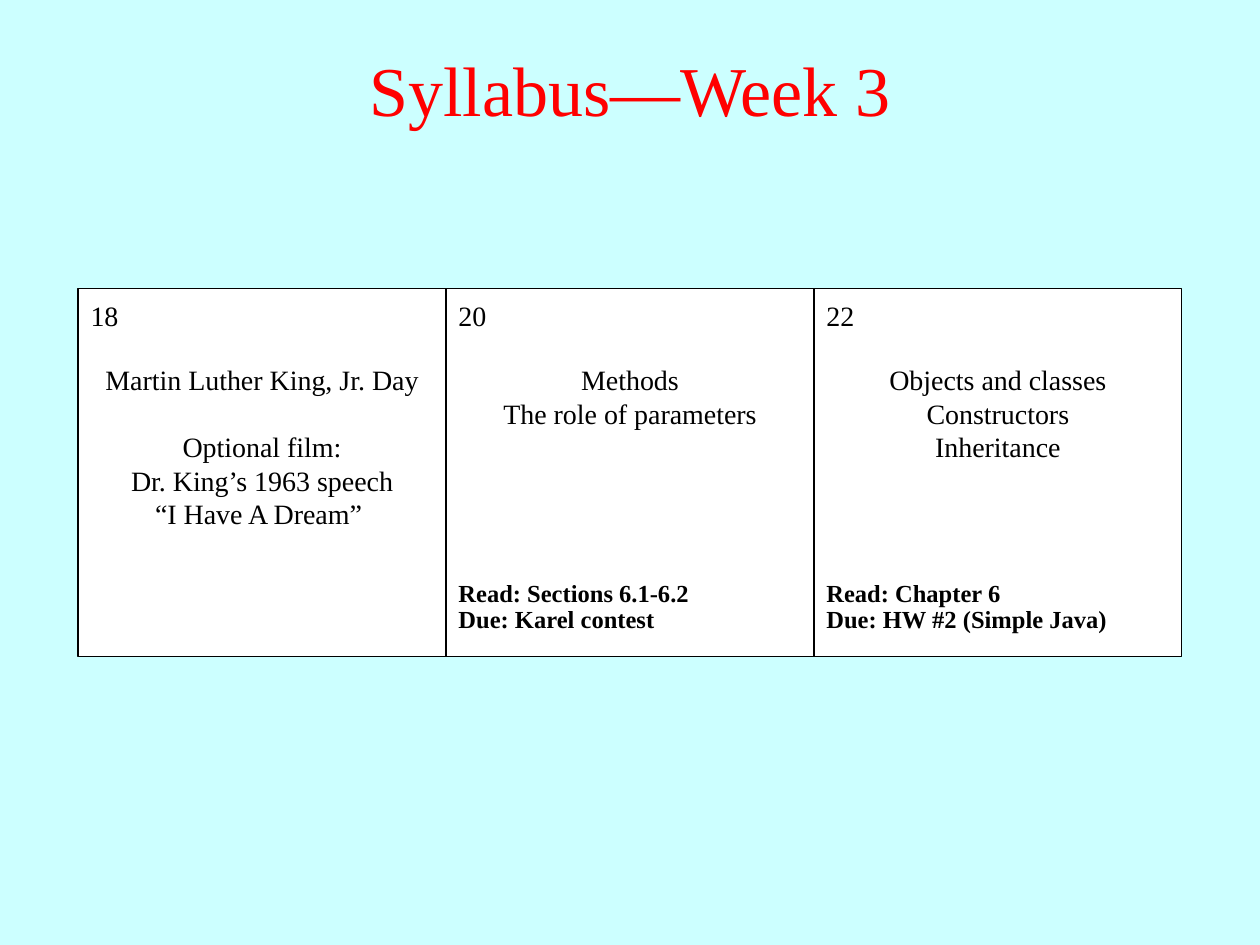
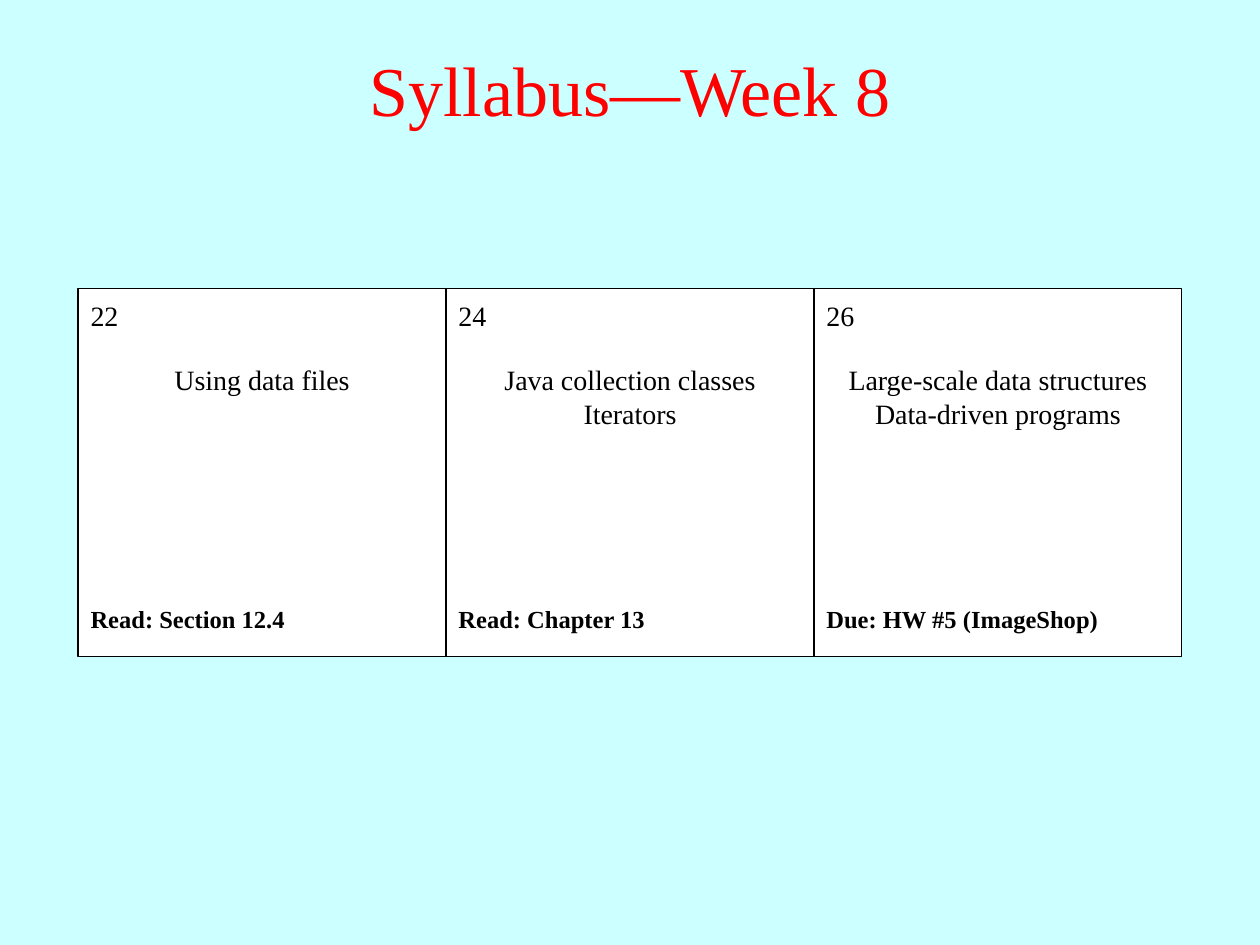
import pptx
import pptx.util
import pptx.dml.color
import pptx.enum.shapes
import pptx.enum.text

Inches, Pt = pptx.util.Inches, pptx.util.Pt
ALIGN = pptx.enum.text.PP_ALIGN
ANCHOR = pptx.enum.text.MSO_ANCHOR

COLORS = {"back": "CCFFFF", "title": "FF0000", "cell": "FFFFFF", "ink": "000000"}
FONT = "Times New Roman"
SIDE = 2.92                 # each day is a square
LEFT, TOP = 0.62, 2.29
GAP = 19                    # one empty line, in points

# Each day: date, blocks of topics, tasks
WEEKS = [
    (3, [
        ("18", [["Martin Luther King, Jr. Day"],
                ["Optional film:", "Dr. King’s 1963 speech", "“I Have A Dream” "]], []),
        ("20", [["Methods", "The role of parameters"]],
         ["Read: Sections 6.1-6.2", "Due: Karel contest"]),
        ("22", [["Objects and classes", "Constructors", "Inheritance"]],
         ["Read: Chapter 6", "Due: HW #2 (Simple Java)"]),
    ]),
    (8, [
        ("22", [["Using data files"]], ["Read: Section 12.4"]),
        ("24", [["Java collection classes", "Iterators"]], ["Read: Chapter 13"]),
        ("26", [["Large-scale data structures", "Data-driven programs"]],
         ["Due: HW #5 (ImageShop)"]),
    ]),
]


def color(name):
    return pptx.dml.color.RGBColor.from_string(COLORS[name])


def add_text(shapes, box, blocks, size, ink="ink", bold=False,
             align=ALIGN.LEFT, anchor=ANCHOR.TOP, lead=None):
    """Write blocks of lines, with one line's gap between blocks."""
    frame = shapes.add_textbox(*map(Inches, box)).text_frame
    frame.word_wrap = True
    frame.vertical_anchor = anchor
    first = True
    for block in blocks:
        for i, line in enumerate(block):
            para = frame.paragraphs[0] if first else frame.add_paragraph()
            para.alignment = align
            if lead:
                para.line_spacing = lead
            if i == 0 and not first:
                para.space_before = Pt(GAP)
            run = para.add_run()
            run.text = line
            run.font.name, run.font.size, run.font.bold = FONT, Pt(size), bold
            run.font.color.rgb = color(ink)
            first = False


def add_day(slide, x, y, date, topics, tasks):
    shapes = slide.shapes.add_group_shape().shapes
    # Square
    cell = shapes.add_shape(pptx.enum.shapes.MSO_SHAPE.RECTANGLE,
                            Inches(x), Inches(y), Inches(SIDE), Inches(SIDE))
    cell.shadow.inherit = False
    cell.fill.solid()
    cell.fill.fore_color.rgb = color("cell")
    cell.line.color.rgb = color("ink")
    cell.line.width = Pt(0.75)
    # Date, topics and tasks
    add_text(shapes, (x, y + 0.03, SIDE, 0.37), [[date]], 16)
    add_text(shapes, (x, y + 0.54, SIDE, 1.45), topics, 16, align=ALIGN.CENTER)
    if tasks:
        add_text(shapes, (x, y + 2.27, SIDE, 0.52), [tasks], 14, bold=True,
                 anchor=ANCHOR.BOTTOM, lead=0.9)


def add_week(deck, week, days):
    slide = deck.slides.add_slide(deck.slide_layouts[6])
    slide.background.fill.solid()
    slide.background.fill.fore_color.rgb = color("back")
    add_text(slide.shapes, (0, 0.08, 10, 1.25), [[f"Syllabus—Week {week}"]], 40,
             ink="title", align=ALIGN.CENTER, anchor=ANCHOR.MIDDLE)
    for i, day in enumerate(days):
        add_day(slide, LEFT + i * SIDE, TOP, *day)


def main():
    deck = pptx.Presentation()
    deck.slide_width, deck.slide_height = Inches(10), Inches(7.5)
    for week, days in WEEKS:
        add_week(deck, week, days)
    deck.save("out.pptx")


if __name__ == "__main__":
    main()
